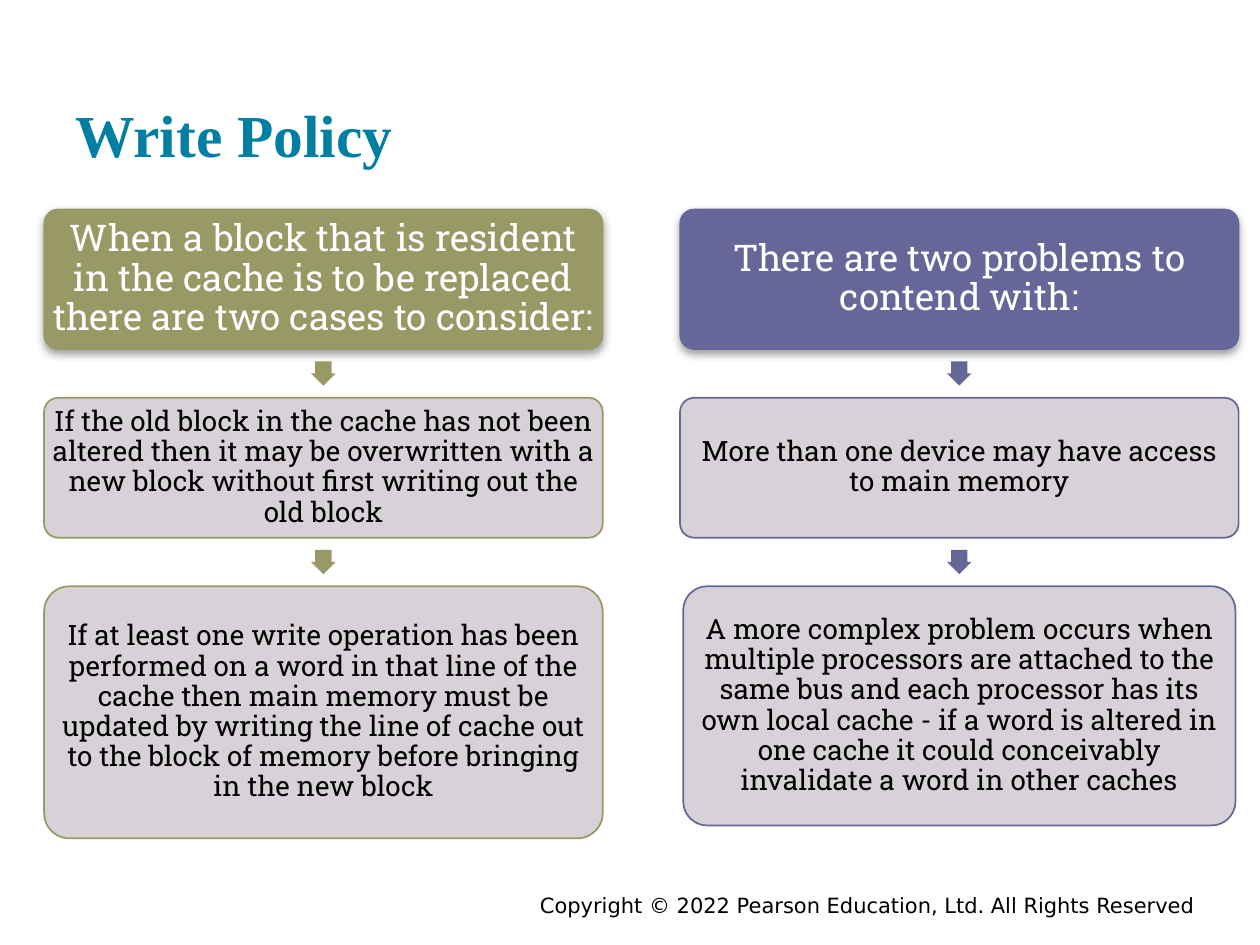
from lxml.etree import SubElement
from pptx import Presentation
from pptx.dml.color import RGBColor
from pptx.enum.shapes import MSO_SHAPE
from pptx.enum.text import MSO_ANCHOR, PP_ALIGN
from pptx.oxml.ns import qn
from pptx.util import Cm, Pt

BLACK = RGBColor(0x00, 0x00, 0x00)
WHITE = RGBColor(0xFF, 0xFF, 0xFF)
TEAL = RGBColor(0x00, 0x7F, 0xA3)
OLIVE = RGBColor(0x99, 0x99, 0x66)
VIOLET = RGBColor(0x66, 0x66, 0x99)
PALE = RGBColor(0xD3, 0xCE, 0xD3)

FIRST_TOP = 4.22
ROW_STEP = 3.8
CARD_HEIGHT = 2.82
COLUMN_WIDTH = 11.26
ARROW_SIZE = 0.49


def write(shape, text, font, size, color, align, anchor, inset_x, inset_y):
    frame = shape.text_frame
    frame.word_wrap = True
    frame.vertical_anchor = anchor
    frame.margin_left = frame.margin_right = Cm(inset_x)
    frame.margin_top = frame.margin_bottom = Cm(inset_y)
    para = frame.paragraphs[0]
    para.alignment = align
    span = para.add_run()
    span.text = text
    span.font.name = font
    span.font.size = Pt(size)
    span.font.color.rgb = color
    return para


deck = Presentation()
deck.slide_width = Cm(25.4)
deck.slide_height = Cm(19.05)
page = deck.slides.add_slide(deck.slide_layouts[6])

footer = page.shapes.add_textbox(Cm(4.45), Cm(17.86), Cm(19.89), Cm(0.56))
write(footer, "Copyright © 2022 Pearson Education, Ltd. All Rights Reserved",
      "DejaVu Sans", 12, BLACK, PP_ALIGN.RIGHT, MSO_ANCHOR.TOP, 0.25, 0.13)

title = page.shapes.add_textbox(Cm(1.27), Cm(0.61), Cm(22.86), Cm(3.05))
title_para = write(title, "Write Policy", "Times New Roman", 34, TEAL,
                   PP_ALIGN.LEFT, MSO_ANCHOR.BOTTOM, 0.25, 0.25)
title_para.runs[0].font.bold = True

columns = [
    (0.89, OLIVE, COLUMN_WIDTH, 5.08, [
        "When a block that is resident in the cache is to be replaced there are "
        "two cases to consider:",
        "If the old block in the cache has not been altered then it may be "
        "overwritten with a new block without first writing out the old block",
        "If at least one write operation has been performed on a word in that "
        "line of the cache then main memory must be updated by writing the line "
        "of cache out to the block of memory before bringing in the new block",
    ]),
    (13.71, VIOLET, 11.13, 4.82, [
        "There are two problems to contend with:",
        "More than one device may have access to main memory",
        "A more complex problem occurs when multiple processors are attached to "
        "the same bus and each processor has its own local cache - if a word is "
        "altered in one cache it could conceivably invalidate a word in other "
        "caches",
    ]),
]

for left, accent, last_width, last_height, texts in columns:
    center = left + COLUMN_WIDTH / 2
    sizes = [(COLUMN_WIDTH, CARD_HEIGHT)] * 2 + [(last_width, last_height)]
    for row, (text, (width, height)) in enumerate(zip(texts, sizes)):
        top = FIRST_TOP + row * ROW_STEP
        is_header = row == 0

        if not is_header:
            arrow = page.shapes.add_shape(
                MSO_SHAPE.DOWN_ARROW, Cm(center - ARROW_SIZE / 2),
                Cm(top - (ROW_STEP - CARD_HEIGHT + ARROW_SIZE) / 2),
                Cm(ARROW_SIZE), Cm(ARROW_SIZE))
            arrow.adjustments[0] = 0.67
            arrow.adjustments[1] = 0.5
            arrow.shadow.inherit = False
            arrow.fill.solid()
            arrow.fill.fore_color.rgb = accent
            arrow.line.fill.background()

        card = page.shapes.add_shape(
            MSO_SHAPE.ROUNDED_RECTANGLE, Cm(center - width / 2), Cm(top),
            Cm(width), Cm(height))
        card.adjustments[0] = 0.1
        card.shadow.inherit = False
        card.fill.solid()
        card.fill.fore_color.rgb = accent if is_header else PALE
        card.line.color.rgb = accent
        card.line.width = Pt(0.75 if is_header else 1)
        properties = card.element.spPr
        if is_header:
            shadow = SubElement(properties.find(qn("a:effectLst")), qn("a:outerShdw"),
                                blurRad=str(Pt(5)), dist=str(Pt(2)), dir="5400000",
                                rotWithShape="0")
            shade = SubElement(shadow, qn("a:srgbClr"), val="808080")
            SubElement(shade, qn("a:alpha"), val="75000")
        else:
            tint = properties.find(qn("a:solidFill")).find(qn("a:srgbClr"))
            SubElement(tint, qn("a:alpha"), val="90000")

        inset = 0.08 if is_header else 0.05
        para = write(card, text, "Roboto Slab", 21 if is_header else 16,
                     WHITE if is_header else BLACK, PP_ALIGN.CENTER,
                     MSO_ANCHOR.MIDDLE, inset, inset)
        para.line_spacing = 0.9

deck.save("out.pptx")
